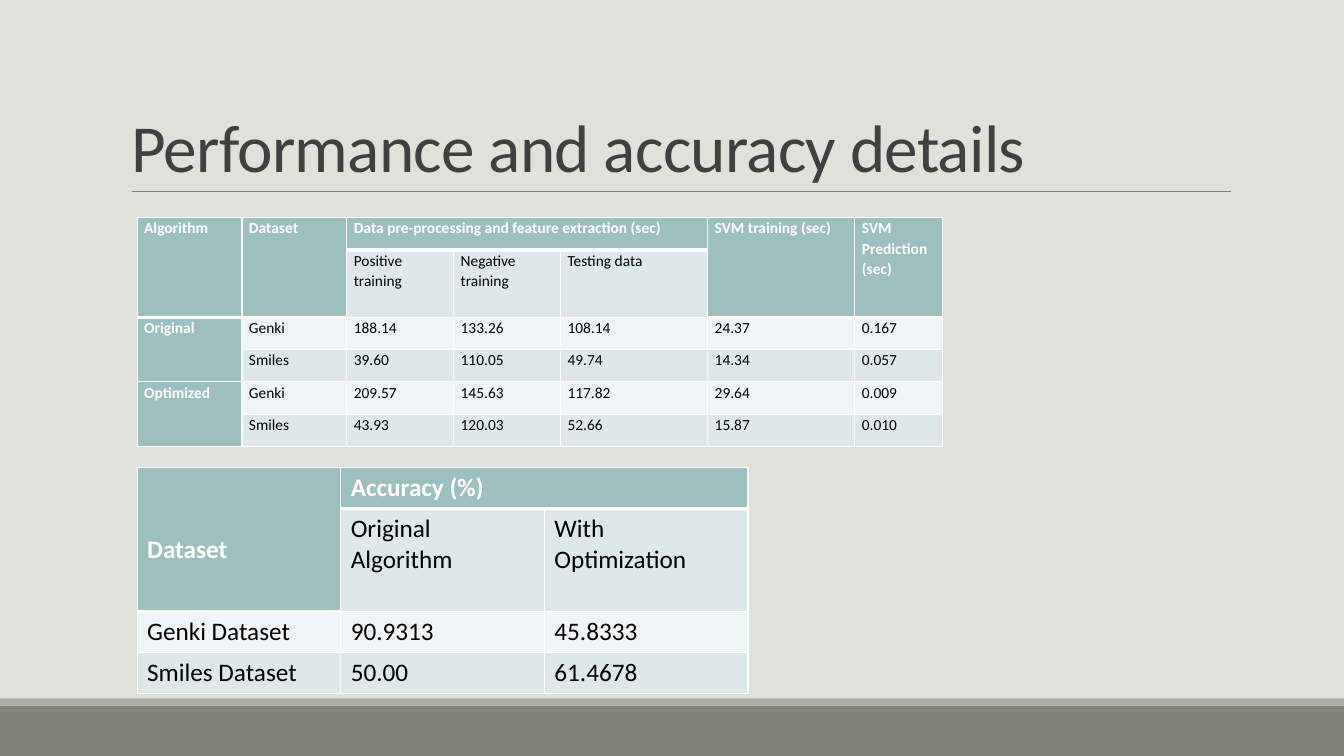
from lxml import etree
from pptx import Presentation
from pptx.dml.color import RGBColor
from pptx.enum.shapes import MSO_CONNECTOR, MSO_SHAPE
from pptx.enum.text import MSO_ANCHOR, MSO_AUTO_SIZE, PP_ALIGN
from pptx.oxml.ns import qn
from pptx.util import Inches, Pt

RECTANGLE = MSO_SHAPE.RECTANGLE
STRAIGHT = MSO_CONNECTOR.STRAIGHT
BOTTOM, TOP = MSO_ANCHOR.BOTTOM, MSO_ANCHOR.TOP
LEFT = PP_ALIGN.LEFT
NO_AUTOFIT = MSO_AUTO_SIZE.NONE
TITLE_ONLY = 5

COLORS = {
    "background": "E1E1DB", "footer": "82847C", "footer_edge": "ACADA8",
    "rule": "808080", "title": "404040", "header": "9DBFBE",
    "band_dark": "DFE8E8", "band_light": "EFF4F4",
    "white": "FFFFFF", "black": "000000",
}

TIMING_ROWS = [
    ["Algorithm", "Dataset", "Data pre-processing and feature extraction (sec)",
     None, None, "SVM training (sec)", "SVM Prediction (sec)"],
    [None, None, "Positive training", "Negative training", "Testing data", None, None],
    ["Original", "Genki", "188.14", "133.26", "108.14", "24.37", "0.167"],
    [None, "Smiles", "39.60", "110.05", "49.74", "14.34", "0.057"],
    ["Optimized", "Genki", "209.57", "145.63", "117.82", "29.64", "0.009"],
    [None, "Smiles", "43.93", "120.03", "52.66", "15.87", "0.010"],
]
TIMING_SPANS = [(0, 0, 1, 0), (0, 1, 1, 1), (0, 2, 0, 4), (0, 5, 1, 5),
                (0, 6, 1, 6), (2, 0, 3, 0), (4, 0, 5, 0)]

ACCURACY_ROWS = [
    ["Dataset", "Accuracy (%)", None],
    [None, "Original Algorithm", "With Optimization"],
    ["Genki Dataset", "90.9313", "45.8333"],
    ["Smiles Dataset", "50.00", "61.4678"],
]
ACCURACY_SPANS = [(0, 0, 1, 0), (0, 1, 0, 2)]


def rgb(name):
    """Return the named colour."""
    return RGBColor.from_string(COLORS[name])


def write_text(frame, text, size, color, bold=False, line_spacing=1.0, tracking=0):
    """Put one formatted, left-aligned paragraph into a text frame."""
    paragraph = frame.paragraphs[0]
    paragraph.alignment = LEFT
    paragraph.line_spacing = line_spacing
    run = paragraph.add_run()
    run.text = text
    run.font.name = "Calibri"
    run.font.size = Pt(size)
    run.font.bold = bold
    run.font.color.rgb = rgb(color)
    if tracking:
        run.font._element.set("spc", str(int(tracking * 100)))


def set_borders(cell, top, bottom):
    """Draw white cell borders, with the given top and bottom widths in points."""
    properties = cell._tc.get_or_add_tcPr()
    widths = {"a:lnL": 1, "a:lnR": 1, "a:lnT": top, "a:lnB": bottom}
    for position, (tag, width) in enumerate(widths.items()):
        line = etree.Element(qn(tag), w=str(Pt(width)))
        fill = etree.SubElement(line, qn("a:solidFill"))
        etree.SubElement(fill, qn("a:srgbClr"), val=COLORS["white"])
        properties.insert(position, line)


class SlideBuilder:
    """Adds elements in one style to the current slide."""

    def __init__(self, presentation):
        """Start a title-only slide with the plain background."""
        self.slide = presentation.slides.add_slide(presentation.slide_layouts[TITLE_ONLY])
        fill = self.slide.background.fill
        fill.solid()
        fill.fore_color.rgb = rgb("background")

    def bar(self, top, height, color):
        """Add a full-width bar."""
        shape = self.slide.shapes.add_shape(
            RECTANGLE, 0, Inches(top), Inches(13.33), Inches(height))
        shape.shadow.inherit = False
        shape.fill.solid()
        shape.fill.fore_color.rgb = rgb(color)
        shape.line.fill.background()

    def rule(self, left, right, top):
        """Add a thin horizontal line."""
        connector = self.slide.shapes.add_connector(
            STRAIGHT, Inches(left), Inches(top), Inches(right), Inches(top))
        connector.line.color.rgb = rgb("rule")
        connector.line.width = Pt(0.5)
        etree.SubElement(connector._element.spPr, qn("a:effectLst"))

    def title(self, text, left, top, width, height):
        """Place and fill the title placeholder."""
        title = self.slide.shapes.title
        title.left, title.top = Inches(left), Inches(top)
        title.width, title.height = Inches(width), Inches(height)
        frame = title.text_frame
        frame.word_wrap = True
        frame.auto_size = NO_AUTOFIT
        frame.vertical_anchor = BOTTOM
        write_text(frame, text, 48, "title", line_spacing=0.85, tracking=-0.5)

    def table(self, rows, spans, left, top, widths, heights, size,
              margins=(0.1, 0.05), line_spacing=1.0):
        """Add a banded table whose merged cells are headers."""
        frame = self.slide.shapes.add_table(
            len(rows), len(widths), Inches(left), Inches(top),
            Inches(sum(widths)), Inches(sum(heights)))
        table = frame.table
        for column, width in zip(table.columns, widths):
            column.width = Inches(width)
        for row, height in zip(table.rows, heights):
            row.height = Inches(height)
        for first_row, first_column, last_row, last_column in spans:
            table.cell(first_row, first_column).merge(table.cell(last_row, last_column))

        def edge(row, column):
            """Return the width of the line under a cell: heavy below the header."""
            heavy = row == 0 or (row == 1 and table.cell(row, column).is_spanned)
            return 3 if heavy else 1

        for row, texts in enumerate(rows):
            for column, text in enumerate(texts):
                cell = table.cell(row, column)
                header = cell.is_merge_origin or cell.is_spanned
                band = "band_dark" if row % 2 else "band_light"
                cell.fill.solid()
                cell.fill.fore_color.rgb = rgb("header" if header else band)
                set_borders(cell, edge(row - 1, column) if row else 1, edge(row, column))
                cell.vertical_anchor = TOP
                cell.margin_left = cell.margin_right = Inches(margins[0])
                cell.margin_top = cell.margin_bottom = Inches(margins[1])
                if text:
                    write_text(cell.text_frame, text, size,
                               "white" if header else "black",
                               bold=header, line_spacing=line_spacing)
        return table


def main():
    """Build and save the slide."""
    presentation = Presentation()
    presentation.slide_width = Inches(13.33)
    presentation.slide_height = Inches(7.5)
    builder = SlideBuilder(presentation)
    builder.bar(7, 0.5, "footer")
    builder.bar(6.93, 0.07, "footer_edge")
    builder.rule(1.31, 12.21, 1.9)
    builder.title("Performance and accuracy details", 1.2, 0.31, 11, 1.59)
    accuracy = builder.table(
        ACCURACY_ROWS, ACCURACY_SPANS, 1.36, 4.64,
        [2.02] * 3, [0.4, 1.02, 0.4, 0.4], 18)
    accuracy.cell(0, 0).margin_top = Inches(0.66)
    builder.table(
        TIMING_ROWS, TIMING_SPANS, 1.36, 2.16,
        [1.04, 1.04, 1.06, 1.06, 1.46, 1.46, 0.87],
        [0.32, 0.67] + [0.32] * 4, 11, margins=(0.07, 0), line_spacing=1.07)
    presentation.save("out.pptx")


main()
